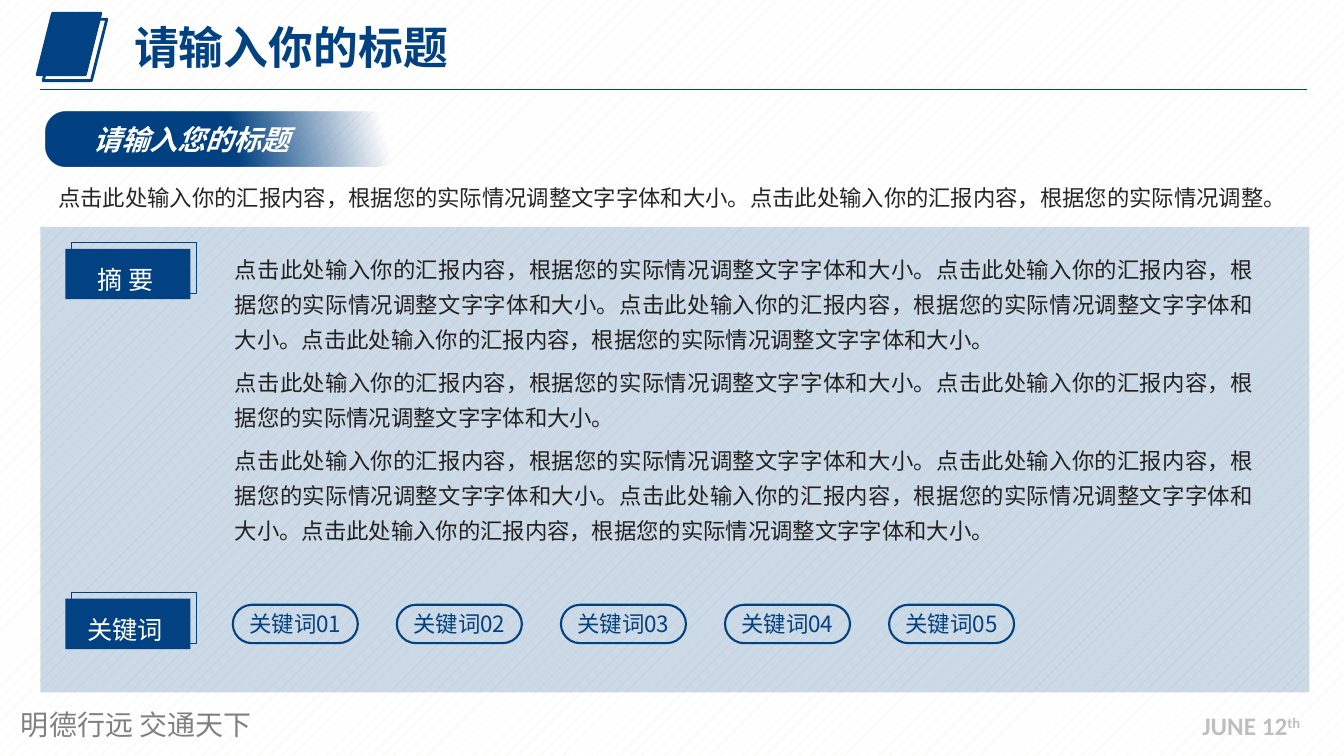
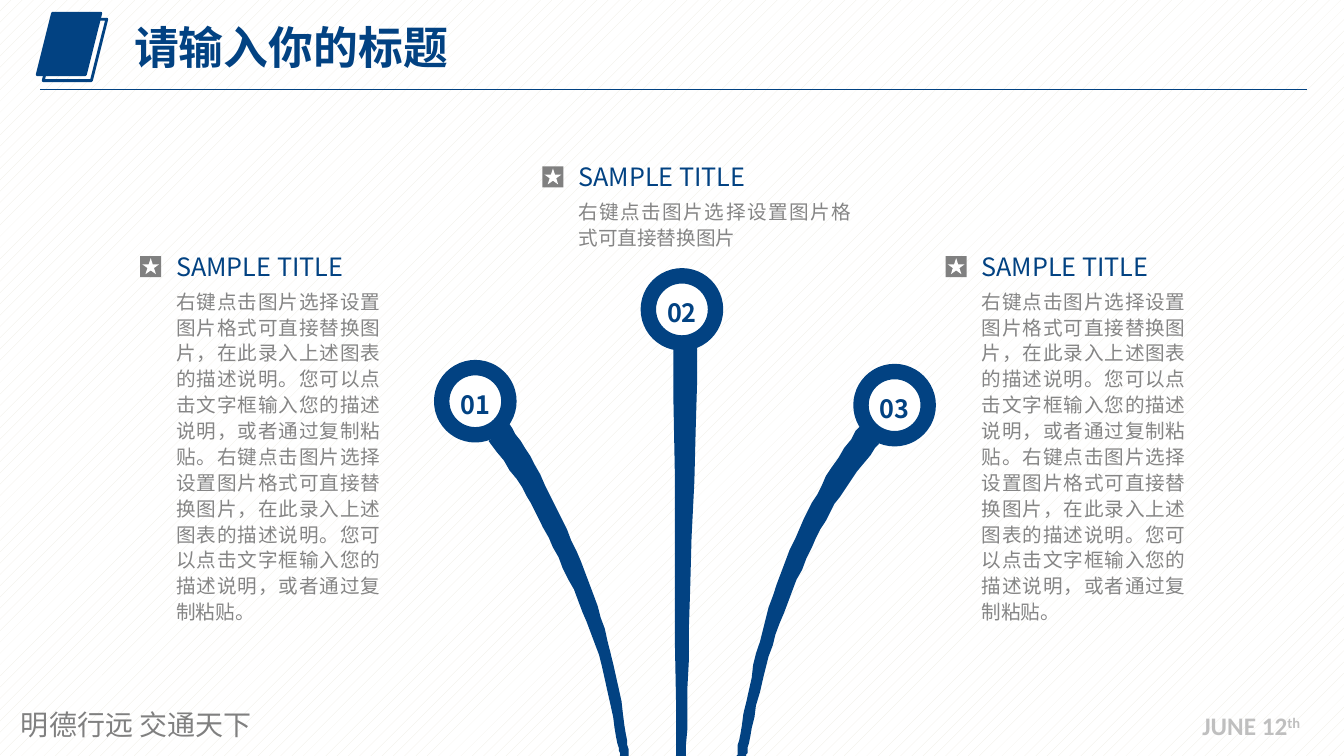
"""Build two blue report slides: an abstract with keywords, and a three-branch diagram."""
import lxml.etree
import pptx
import pptx.dml.color
import pptx.enum.dml
import pptx.enum.shapes
import pptx.enum.text
import pptx.oxml
import pptx.oxml.ns
import pptx.util

Pt = pptx.util.Pt
SHAPE = pptx.enum.shapes.MSO_SHAPE
ALIGN = pptx.enum.text.PP_ALIGN
ANCHOR = pptx.enum.text.MSO_ANCHOR
qn = pptx.oxml.ns.qn

NAVY, WHITE, GREY, PALE = "024282", "FFFFFF", "808080", "BFBFBF"
SC, JP = "Noto Sans CJK SC", "Noto Sans CJK JP"
WIDTH, HEIGHT = 960, 540

TITLE = "请输入你的标题"
MOTTO = "明德行远 交通天下"
DATE, ORDINAL = "JUNE 12", "th"

SUBTITLE = "请输入您的标题"
FULL = "点击此处输入你的汇报内容，根据您的实际情况调整文字字体和大小。"
LEAD = FULL + "点击此处输入你的汇报内容，根据您的实际情况调整。"
ABSTRACT = [FULL * 4, FULL * 2, FULL * 4]
LABELS = [("摘 要", 177.8), ("关键词", 427.7)]
KEYWORDS = ["关键词01", "关键词02", "关键词03", "关键词04", "关键词05"]

SAMPLE = "SAMPLE TITLE"
SHORT = "右键点击图片选择设置图片格式可直接替换图片"
LONG = (SHORT + "，在此录入上述图表的描述说明。您可以点击文字框输入您的描述说明，或者通过复制粘贴。") * 2
NOTES = [
    (118.8, 175.7, 160, 248, LONG),
    (406.1, 111.6, 209, 43, SHORT),
    (694.1, 175.7, 160, 248, LONG),
]
BRANCHES = [
    ("01", (339.5, 286.6),
     [(349, 315), (372.6, 348), (391.7, 384), (413, 429), (430, 476), (440.5, 526), (443, 540)],
     [(364, 303), (382, 332), (405, 378), (424, 425), (438.5, 474), (447, 524), (449, 540)]),
    ("02", (487.1, 221),
     [(481, 249), (483, 540)],
     [(498.5, 248), (492.5, 451), (490, 540)]),
    ("03", (639, 289.4),
     [(614, 304.6), (590.4, 340.5), (571, 378), (552, 425.5), (538.5, 475), (528.8, 524), (526.5, 540)],
     [(628, 317), (603.5, 349), (583, 384.5), (563, 430), (547, 477), (535.6, 526), (533.3, 540)]),
]


def rgb(value):
    return pptx.dml.color.RGBColor.from_string(value)


def style_run(run, size, font, colour, bold=False, italic=False):
    run.font.size = Pt(size)
    run.font.bold = bold
    run.font.italic = italic
    run.font.color.rgb = rgb(colour)
    run.font.name = font
    east_asian = lxml.etree.Element(qn("a:ea"), typeface=font)
    run.font._element.find(qn("a:latin")).addnext(east_asian)


def write(frame, lines, size, font, colour, align=ALIGN.LEFT, spacing=1.0, before=0,
          anchor=ANCHOR.TOP, margins=(7.2, 3.6, 7.2, 3.6), wrap=True, **emphasis):
    frame.text = "\n".join(lines)
    frame.word_wrap = wrap
    frame.auto_size = pptx.enum.text.MSO_AUTO_SIZE.NONE
    frame.vertical_anchor = anchor
    (frame.margin_left, frame.margin_top,
     frame.margin_right, frame.margin_bottom) = map(Pt, margins)
    for index, paragraph in enumerate(frame.paragraphs):
        paragraph.alignment = align
        paragraph.line_spacing = spacing
        paragraph.space_before = Pt(before if index else 0)
        for run in paragraph.runs:
            style_run(run, size, font, colour, **emphasis)


def place(shape, left, top, width, height):
    shape.left, shape.top, shape.width, shape.height = map(Pt, (left, top, width, height))


def add_text(slide, box, lines, *args, **options):
    textbox = slide.shapes.add_textbox(*map(Pt, box))
    write(textbox.text_frame, lines, *args, **options)
    return textbox


def paint(shape, fill=None, line=None, weight=0):
    shape.shadow.inherit = False
    if fill:
        shape.fill.solid()
        shape.fill.fore_color.rgb = rgb(fill)
    else:
        shape.fill.background()
    if line:
        shape.line.color.rgb = rgb(line)
        shape.line.width = Pt(weight)
    else:
        shape.line.fill.background()
    return shape


def add_shape(slide, preset, box, fill=None, line=None, weight=0):
    return paint(slide.shapes.add_shape(preset, *map(Pt, box)), fill, line, weight)


def add_frame(deck, layout):
    slide = deck.slides.add_slide(deck.slide_layouts[layout])
    place(slide.shapes.title, 88.6, 15.1, 396.7, 48.2)
    write(slide.shapes.title.text_frame, [TITLE], 32, SC, NAVY, spacing=0.9, bold=True)
    add_text(slide, (7.9, 501.8, 284, 31.7), [MOTTO], 20, JP, GREY)
    for offset, fill in ((0, NAVY), (4.3, None)):
        add_shape(slide, SHAPE.PARALLELOGRAM, (26.6 + offset, 9.4 + offset, 45.4, 43.9),
                  fill, NAVY, 2)
    rule = slide.shapes.add_connector(pptx.enum.shapes.MSO_CONNECTOR.STRAIGHT,
                                      *map(Pt, (28.8, 64.1, 933.8, 64.1)))
    rule.line.color.rgb = rgb(NAVY)
    rule.line.width = Pt(0.75)
    lxml.etree.SubElement(rule.element.spPr, qn("a:effectLst"))
    date = add_text(slide, (851.8, 504, 86.4, 28.8), [DATE], 18, "Calibri", PALE,
                    wrap=False, bold=True)
    ordinal = date.text_frame.paragraphs[0].add_run()
    ordinal.text = ORDINAL
    style_run(ordinal, 18, "Calibri", PALE, bold=True)
    ordinal.font._element.set("baseline", "30000")
    return slide


def fade_right(shape):
    stops = "".join(
        f'<a:gs pos="{position}000"><a:srgbClr val="{NAVY}"><a:alpha val="{alpha}000"/></a:srgbClr></a:gs>'
        for position, alpha in ((0, 100), (53, 100), (95, 0)))
    gradient = pptx.oxml.parse_xml(
        f'<a:gradFill {pptx.oxml.ns.nsdecls("a")} rotWithShape="1"><a:gsLst>{stops}</a:gsLst>'
        '<a:lin ang="20700000" scaled="0"/></a:gradFill>')
    solid = shape.element.spPr.find(qn("a:solidFill"))
    solid.getparent().replace(solid, gradient)


def build_abstract(deck):
    slide = add_frame(deck, 1)
    panel = add_shape(slide, SHAPE.RECTANGLE, (28.8, 162, 906.5, 332.6), NAVY)
    tint = panel.element.spPr.find(qn("a:solidFill")).find(qn("a:srgbClr"))
    lxml.etree.SubElement(tint, qn("a:alpha"), val="20000")

    abstract = slide.placeholders[1]
    panel.element.addnext(abstract.element)
    place(abstract, 160.6, 173.5, 742.3, 245.5)
    write(abstract.text_frame, ABSTRACT, 16, SC, "222222", ALIGN.JUSTIFY, 1.3, 6)
    for paragraph in abstract.text_frame.paragraphs:
        properties = paragraph._p.get_or_add_pPr()
        properties.set("marL", "0")
        properties.set("indent", "0")
        lxml.etree.SubElement(properties, qn("a:buNone"))

    for label, top in LABELS:
        add_shape(slide, SHAPE.RECTANGLE, (51.1, top - 4.3, 89.3, 36), None, NAVY, 0.75)
        plate = add_shape(slide, SHAPE.RECTANGLE, (46.8, top, 89.3, 36), NAVY)
        write(plate.text_frame, [label], 18, JP, WHITE, ALIGN.CENTER, 1.2,
              anchor=ANCHOR.MIDDLE, margins=(0, 3, 4, 0), wrap=False)

    for index, keyword in enumerate(KEYWORDS):
        pill = add_shape(slide, SHAPE.ROUNDED_RECTANGLE,
                         (166.3 + 117.2 * index, 432, 89.3, 27.4), None, NAVY, 1.5)
        pill.adjustments[0] = 0.5
        write(pill.text_frame, [keyword], 16, JP, NAVY, ALIGN.CENTER,
              anchor=ANCHOR.MIDDLE, margins=(5.8, 0, 5.8, 0))

    add_text(slide, (34.6, 118.1, 892.8, 33.1), [LEAD], 16, SC, "262626", ALIGN.JUSTIFY, 1.5)
    ribbon = add_shape(slide, SHAPE.ROUNDED_RECTANGLE, (32.4, 79.9, 250.6, 38.9), NAVY)
    ribbon.adjustments[0] = 0.37
    fade_right(ribbon)
    add_text(slide, (59.8, 84.2, 250.6, 31.7), [SUBTITLE], 20, SC, WHITE, bold=True, italic=True)


def smooth(points, steps=6):
    padded = [points[0], *points, points[-1]]
    curve = []
    for a, b, c, d in zip(padded, padded[1:], padded[2:], padded[3:]):
        for t in (step / steps for step in range(steps)):
            curve.append(tuple(
                0.5 * (2 * q + (r - p) * t + (2 * p - 5 * q + 4 * r - s) * t ** 2
                       + (3 * q - p - 3 * r + s) * t ** 3)
                for p, q, r, s in zip(a, b, c, d)))
    return curve + [points[-1]]


def build_branches(deck):
    slide = add_frame(deck, 5)
    for number, (x, y), left_edge, right_edge in BRANCHES:
        outline = smooth(left_edge) + smooth(right_edge)[::-1]
        builder = slide.shapes.build_freeform(*outline[0], scale=Pt(1))
        builder.add_line_segments(outline[1:], close=True)
        paint(builder.convert_to_shape(), NAVY)
        ring = add_shape(slide, SHAPE.OVAL, (x - 24, y - 24, 48, 48), WHITE, NAVY, 11)
        write(ring.text_frame, [number], 18, SC, NAVY, ALIGN.CENTER, anchor=ANCHOR.MIDDLE,
              margins=(0, 4, 0, 0), wrap=False, bold=True)

    for left, top, width, height, note in NOTES:
        add_text(slide, (left, top, 139.7, 28.8), [SAMPLE], 18, SC, NAVY)
        add_shape(slide, SHAPE.RECTANGLE, (left - 18.7, top + 7.2, 15.1, 15.1), GREY)
        add_shape(slide, SHAPE.STAR_5_POINT, (left - 17.2, top + 8.7, 12.2, 11.5), WHITE)
        add_text(slide, (left, top + 25.9, width, height), [note], 14, SC, "858585",
                 ALIGN.JUSTIFY, 1.1)


def main():
    deck = pptx.Presentation()
    deck.slide_width, deck.slide_height = Pt(WIDTH), Pt(HEIGHT)
    backdrop = deck.slide_master.background.fill
    backdrop.patterned()
    backdrop.pattern = pptx.enum.dml.MSO_PATTERN.PERCENT_10
    backdrop.fore_color.rgb = rgb("EEECE1")
    backdrop.back_color.rgb = rgb(WHITE)
    build_abstract(deck)
    build_branches(deck)
    deck.save("out.pptx")


if __name__ == "__main__":
    main()
